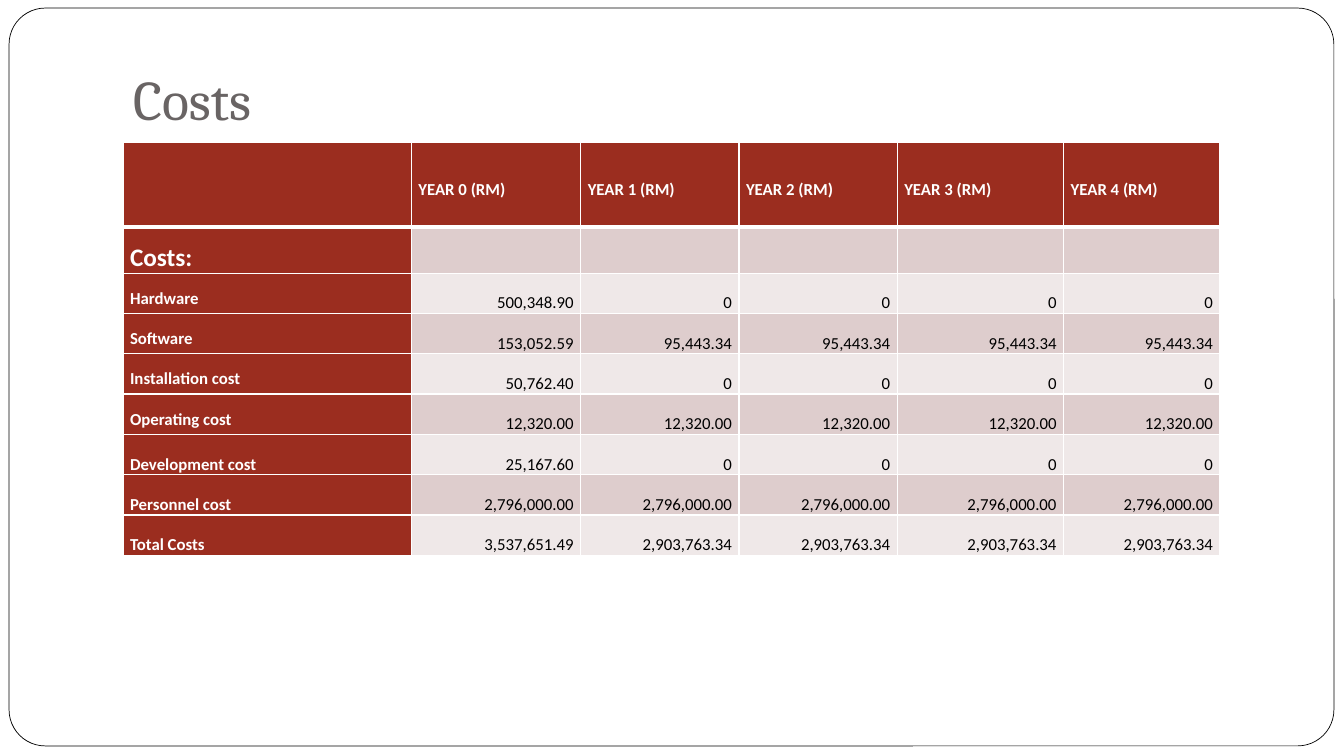
from lxml import etree
from pptx import Presentation
from pptx.dml.color import RGBColor
from pptx.enum import shapes, text
from pptx.oxml import ns
from pptx.util import Inches, Pt

YEARS = ["YEAR 0 (RM)", "YEAR 1 (RM)", "YEAR 2 (RM)", "YEAR 3 (RM)", "YEAR 4 (RM)"]
COSTS = [
    ("Hardware", "500,348.90", "0"),
    ("Software", "153,052.59", "95,443.34"),
    ("Installation cost", "50,762.40", "0"),
    ("Operating cost", "12,320.00", "12,320.00"),
    ("Development cost", "25,167.60", "0"),
    ("Personnel cost", "2,796,000.00", "2,796,000.00"),
    ("Total Costs", "3,537,651.49", "2,903,763.34"),
]
BOTTOM_LABELS = {"Development cost", "Personnel cost", "Total Costs"}
COLUMN_WIDTHS = [2.86, 1.68, 1.57, 1.57, 1.65, 1.55]
ROW_HEIGHTS = [0.84, 0.46] + [0.4] * len(COSTS)
COLORS = {"white": "FFFFFF", "black": "000000", "title": "696464",
          "red": "9B2D1F", "dark band": "DECDCD", "light band": "EFE8E8"}


def color(name):
    return RGBColor.from_string(COLORS[name])


def write(frame, content, size=12, font="Calibri", fill="black", bold=False,
          align=text.PP_ALIGN.LEFT, spacing=1.5, after=0):
    paragraph = frame.paragraphs[0]
    paragraph.alignment = align
    paragraph.line_spacing = spacing
    paragraph.space_after = Pt(after)
    run = paragraph.add_run()
    run.text = content
    run.font.size = Pt(size)
    run.font.name = font
    run.font.bold = bold
    run.font.color.rgb = color(fill)


def add_borders(cell, top=1, bottom=1):
    properties = cell._tc.get_or_add_tcPr()
    widths = {"lnL": 1, "lnR": 1, "lnT": top, "lnB": bottom}
    for position, (side, width) in enumerate(widths.items()):
        line = etree.Element(ns.qn("a:" + side), w=str(Pt(width)))
        solid = etree.SubElement(line, ns.qn("a:solidFill"))
        etree.SubElement(solid, ns.qn("a:srgbClr"), val=COLORS["white"])
        properties.insert(position, line)


def add_frame(slide):
    frame = slide.shapes.add_shape(
        shapes.MSO_SHAPE.ROUNDED_RECTANGLE,
        Inches(0.09), Inches(0.08), Inches(13.14), Inches(7.32))
    frame.adjustments[0] = 0.049
    frame.shadow.inherit = False
    frame.fill.solid()
    frame.fill.fore_color.rgb = color("white")
    frame.line.color.rgb = color("black")
    frame.line.width = Pt(0.5)
    slide.shapes._spTree.insert(2, frame._element)


def add_title(slide):
    title = slide.shapes.title
    title.left, title.top = Inches(1.22), Inches(0.16)
    title.width, title.height = Inches(11.33), Inches(1.25)
    frame = title.text_frame
    frame.auto_size = text.MSO_AUTO_SIZE.NONE
    frame.vertical_anchor = text.MSO_ANCHOR.BOTTOM
    frame.margin_bottom = Inches(0.1)
    write(frame, "Costs", size=40, font="Cambria", fill="title", spacing=1.0)


def add_cost_table(slide):
    rows = [["", *YEARS], ["Costs:"] + [""] * len(YEARS)]
    rows += [[label, first] + [later] * (len(YEARS) - 1) for label, first, later in COSTS]
    table = slide.shapes.add_table(
        len(rows), len(COLUMN_WIDTHS), Inches(1.22), Inches(1.41),
        Inches(sum(COLUMN_WIDTHS)), Inches(sum(ROW_HEIGHTS))).table
    for column, width in zip(table.columns, COLUMN_WIDTHS):
        column.width = Inches(width)
    for row, height in zip(table.rows, ROW_HEIGHTS):
        row.height = Inches(height)
    for r, values in enumerate(rows):
        for c, value in enumerate(values):
            cell = table.cell(r, c)
            heading = r == 0 or c == 0
            band = "dark band" if r % 2 else "light band"
            cell.fill.solid()
            cell.fill.fore_color.rgb = color("red" if heading else band)
            cell.margin_left = cell.margin_right = Inches(0.07)
            cell.margin_top = cell.margin_bottom = 0
            middle = heading and value not in BOTTOM_LABELS
            cell.vertical_anchor = text.MSO_ANCHOR.MIDDLE if middle else text.MSO_ANCHOR.BOTTOM
            add_borders(cell, top=3 if r == 1 else 1, bottom=3 if r == 0 else 1)
            if value:
                section = value == "Costs:"
                write(cell.text_frame, value, size=18 if section else 12,
                      fill="white" if heading else "black", bold=heading,
                      align=text.PP_ALIGN.LEFT if heading else text.PP_ALIGN.RIGHT,
                      after=8 if section else 0)


def main():
    presentation = Presentation()
    presentation.slide_width, presentation.slide_height = Inches(13.33), Inches(7.5)
    slide = presentation.slides.add_slide(presentation.slide_layouts[5])
    add_frame(slide)
    add_title(slide)
    add_cost_table(slide)
    presentation.save("out.pptx")


if __name__ == "__main__":
    main()
